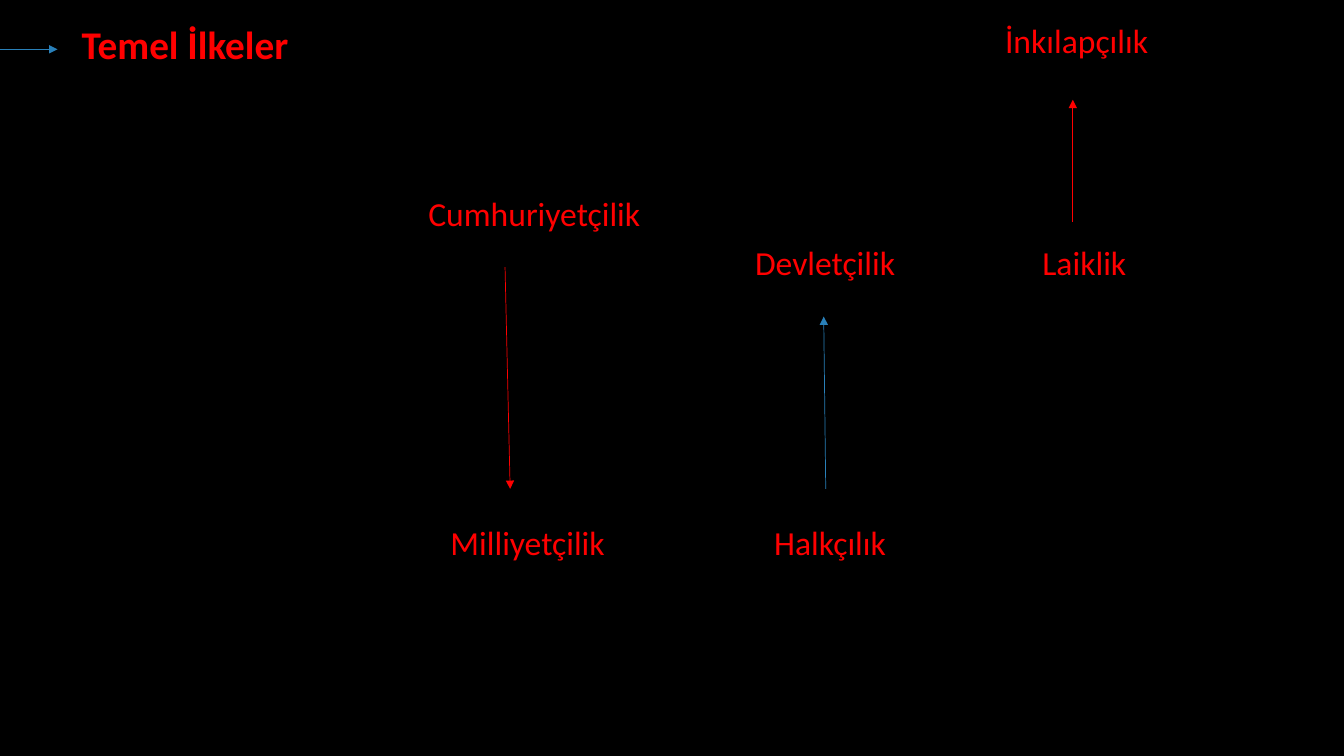
from typing import NamedTuple

from lxml import etree
from pptx import Presentation
from pptx import util as u
from pptx.dml.color import RGBColor
from pptx.enum import shapes, text
from pptx.oxml import ns

WIDE, HIGH = u.Inches(13.33), u.Inches(7.5)
RED, BLUE, BLACK = "FF0000", "2980B9", "000000"
FONT = "Calibri"
TOP, MID, LOW = 2, 31.33, 68.4  # rows, in percent of the height
ROW = 6.67


class Label(NamedTuple):
    words: str
    left: float
    top: float
    width: float
    high: float = ROW
    size: int = 24
    bold: bool = False
    wrap: bool = False


class Arrow(NamedTuple):
    x1: float
    y1: float
    x2: float
    y2: float
    color: str


# Places are percent of the slide's width and height
TITLE = Label("Temel İlkeler", 5.33, TOP, 17.1, 7.6, 28, True)
LABELS = [
    Label("Cumhuriyetçilik", 31.13, 24.8, 17.4),
    Label("Milliyetçilik", 32.78, LOW, 13.05),
    Label("Halkçılık", 56.86, LOW, 11.55, wrap=True),
    Label("Devletçilik", 55.44, MID, 12.08),
    Label("Laiklik", 76.82, MID, 7.8),
    Label("İnkılapçılık", 74.04, TOP, 18.68, wrap=True),
]
ARROWS = [
    Arrow(-4.28, 6.53, 4.28, 6.53, BLUE),
    Arrow(37.58, 35.33, 37.96, 64.67, RED),
    Arrow(61.44, 64.67, 61.29, 41.87, BLUE),
    Arrow(79.82, 29.33, 79.82, 13.2, RED),
]


def across(share: float) -> int:
    return round(WIDE * share / 100)


def down(share: float) -> int:
    return round(HIGH * share / 100)


def paint(part, color: str) -> None:
    """Give a fill or line format one solid colour."""
    part.solid()
    part.fore_color.rgb = RGBColor.from_string(color)


def write(box, label: Label) -> None:
    """Place a text shape and fill it with one run."""
    box.left, box.top = across(label.left), down(label.top)
    box.width, box.height = across(label.width), down(label.high)
    frame = box.text_frame
    frame.word_wrap = label.wrap
    frame.auto_size = text.MSO_AUTO_SIZE.SHAPE_TO_FIT_TEXT
    frame.vertical_anchor = text.MSO_ANCHOR.TOP
    para = frame.paragraphs[0]
    para.alignment = text.PP_ALIGN.LEFT
    run = para.add_run()
    run.text = label.words
    run.font.name, run.font.size = FONT, u.Pt(label.size)
    run.font.bold = label.bold
    paint(run.font.fill, RED)


def draw(slide, arrow: Arrow) -> None:
    """Draw a thin line with a triangle at its end."""
    link = slide.shapes.add_connector(
        shapes.MSO_CONNECTOR.STRAIGHT,
        across(arrow.x1), down(arrow.y1), across(arrow.x2), down(arrow.y2))
    link.line.width = u.Pt(0.5)
    paint(link.line.fill, arrow.color)
    edge = link.line.fill._xPr
    etree.SubElement(edge, ns.qn("a:tailEnd"), type="triangle")
    etree.SubElement(edge.getparent(), ns.qn("a:effectLst"))


# Slide and background
deck = Presentation()
deck.slide_width, deck.slide_height = WIDE, HIGH
slide = deck.slides.add_slide(deck.slide_layouts.get_by_name("Title Only"))
paint(slide.background.fill, BLACK)

# Title, principles and arrows
write(slide.shapes.title, TITLE)
for label in LABELS:
    write(slide.shapes.add_textbox(0, 0, 0, 0), label)
for arrow in ARROWS:
    draw(slide, arrow)

deck.save("out.pptx")
